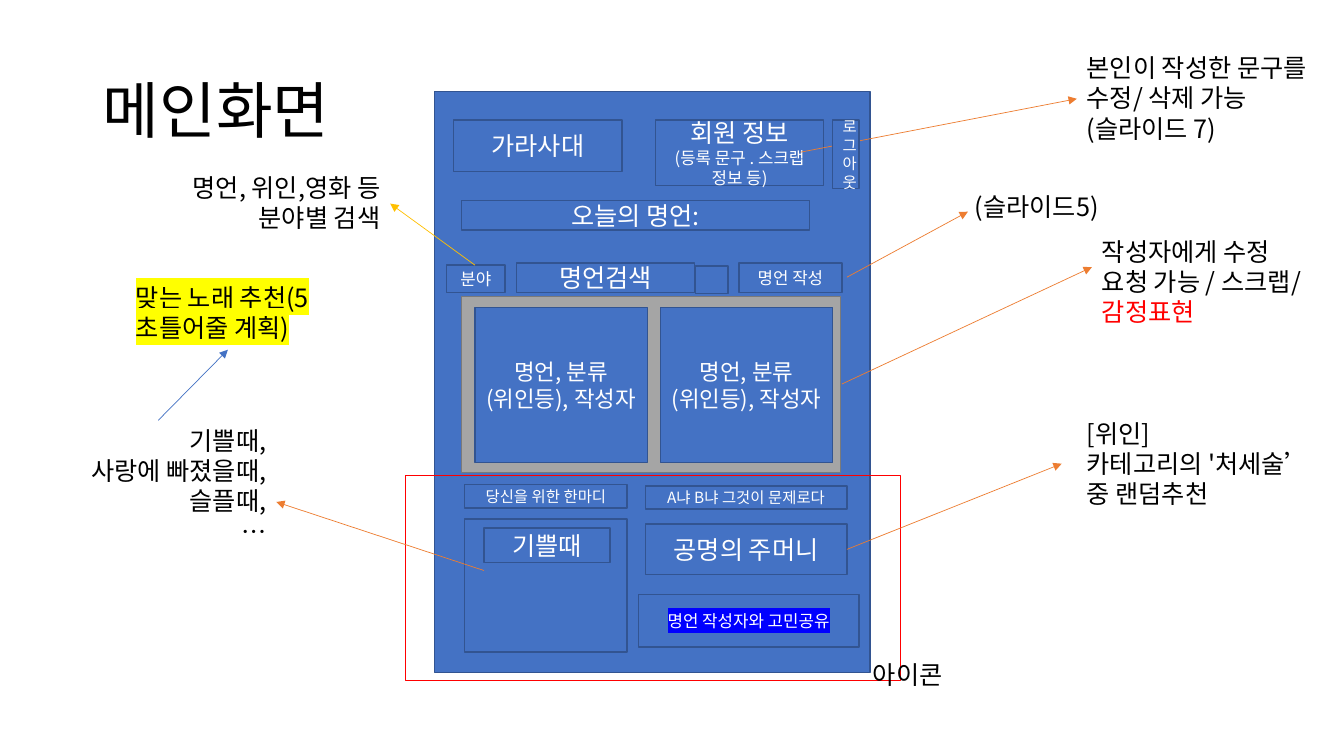
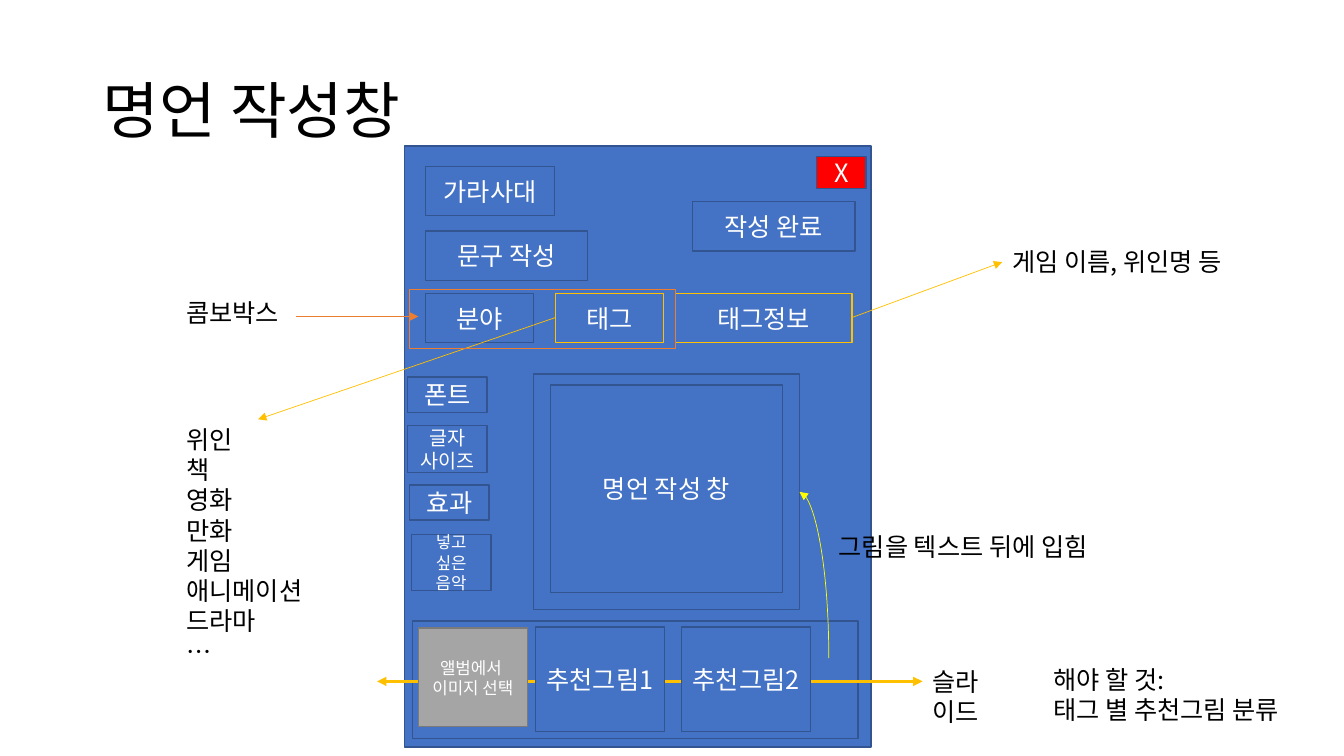
"""Build two annotated wireframe slides of a quotation app."""
import lxml.etree
import pptx
import pptx.dml.color
import pptx.enum.shapes
import pptx.enum.text
import pptx.oxml.ns
import pptx.util

FONT = "Noto Sans CJK KR"
CELL = 0.1
COLORS = {
    "blue": "4472C4", "navy": "325491", "gray": "A5A5A5", "dark_gray": "7A7A7A",
    "orange": "ED7D31", "gold": "FFC000", "yellow": "FFFF00", "red": "FF0000",
    "highlight_blue": "0000FF", "white": "FFFFFF", "black": "000000",
}
ALIGN = pptx.enum.text.PP_ALIGN
ANCHOR = pptx.enum.text.MSO_ANCHOR
CONNECTOR = pptx.enum.shapes.MSO_CONNECTOR


def rgb(name):
    return pptx.dml.color.RGBColor.from_string(COLORS[name])


def grid(*cells):
    return [pptx.util.Inches(cell * CELL) for cell in cells]


def add_xml(parent, tag, **attributes):
    return lxml.etree.SubElement(parent, pptx.oxml.ns.qn(tag), attributes)


class Wireframe:
    """Hold the shared style and the slide being drawn; positions are grid cells."""

    def __init__(self):
        self.presentation = pptx.Presentation()
        self.presentation.slide_width = pptx.util.Inches(13.33)
        self.presentation.slide_height = pptx.util.Inches(7.5)
        self.slide = None

    def start(self, title):
        self.slide = self.presentation.slides.add_slide(self.presentation.slide_layouts[5])
        shape = self.slide.shapes.title
        shape.left, shape.top, shape.width, shape.height = grid(9.2, 4, 115, 14.5)
        self.set_text(shape, title, 44, "black", ALIGN.LEFT)
        shape.text_frame.vertical_anchor = ANCHOR.MIDDLE
        shape.text_frame.paragraphs[0].line_spacing = 0.9

    def set_text(self, shape, text, size, color, align):
        frame = shape.text_frame
        frame.word_wrap = True
        frame.text = text
        for paragraph in frame.paragraphs:
            paragraph.alignment = align
            paragraph.font.size = pptx.util.Pt(size)
            paragraph.font.color.rgb = rgb(color)
            paragraph.font.name = FONT
            for properties in paragraph._p.iter(pptx.oxml.ns.qn("a:defRPr")):
                add_xml(properties, "a:ea", typeface=FONT)

    def box(self, left, top, width, height, text="", size=18, fill="blue", line="navy"):
        shape = self.slide.shapes.add_shape(
            pptx.enum.shapes.MSO_SHAPE.RECTANGLE, *grid(left, top, width, height))
        shape.shadow.inherit = False
        if fill:
            shape.fill.solid()
            shape.fill.fore_color.rgb = rgb(fill)
        else:
            shape.fill.background()
        shape.line.color.rgb = rgb(line)
        shape.line.width = pptx.util.Pt(1)
        if text:
            self.set_text(shape, text, size, "white", ALIGN.CENTER)
            shape.text_frame.vertical_anchor = ANCHOR.MIDDLE
        return shape

    def note(self, left, top, width, height, text, align=ALIGN.LEFT):
        shape = self.slide.shapes.add_textbox(*grid(left, top, width, height))
        self.set_text(shape, text, 18, "black", align)
        shape.text_frame.auto_size = pptx.enum.text.MSO_AUTO_SIZE.SHAPE_TO_FIT_TEXT
        return shape

    def highlight(self, shape, color):
        for paragraph in shape.text_frame.paragraphs:
            for run in paragraph.runs:
                marker = add_xml(run._r.get_or_add_rPr(), "a:highlight")
                add_xml(marker, "a:srgbClr", val=COLORS[color])

    def arrow(self, x1, y1, x2, y2, color="orange", width=0.5, both=False,
              kind=CONNECTOR.STRAIGHT):
        connector = self.slide.shapes.add_connector(kind, *grid(x1, y1, x2, y2))
        connector.line.color.rgb = rgb(color)
        connector.line.width = pptx.util.Pt(width)
        properties = connector.element.spPr
        outline = properties.find(pptx.oxml.ns.qn("a:ln"))
        if both:
            add_xml(outline, "a:headEnd", type="triangle")
        add_xml(outline, "a:tailEnd", type="triangle")
        add_xml(properties, "a:effectLst")
        return connector

    def upward_curve(self, left, bottom, right, top, color):
        connector = self.arrow(left, bottom, right, top, color, kind=CONNECTOR.CURVE)
        properties = connector.element.spPr
        properties.find(pptx.oxml.ns.qn("a:xfrm")).set("rot", "16200000")
        properties.find(pptx.oxml.ns.qn("a:prstGeom")).set("prst", "curvedConnector2")


def draw_main_screen(wireframe):
    box, note, arrow = wireframe.box, wireframe.note, wireframe.arrow
    wireframe.start("메인화면")

    box(43.1, 9.1, 43.2, 57.6)
    box(45, 11.9, 16.7, 5.1, "가라사대")
    member = box(65, 11.9, 16.7, 6.5, "회원 정보\n(등록 문구 . 스크랩 정보 등)")
    member.text_frame.paragraphs[1].font.size = pptx.util.Pt(12)
    box(45.8, 19.9, 34.5, 2.9, "오늘의 명언:")
    box(45.8, 29.4, 37.6, 17.5, fill="gray", line="dark_gray")
    box(51.2, 26.1, 17.7, 2.9, "명언검색")
    for left in (47.1, 65.5):
        box(left, 30.5, 17.1, 15.4, "명언, 분류(위인등), 작성자", 16)
    box(46.1, 51.5, 16.1, 13.2)
    box(46.1, 48.1, 16.1, 2.3, "당신을 위한 한마디", 11)
    box(73.3, 26.1, 10.2, 2.9, "명언 작성", 12)
    box(48, 52.4, 12.5, 3.4, "기쁠때")
    box(64, 52, 20, 5, "공명의 주머니")
    box(64, 48.2, 20, 2.3, "A냐 B냐 그것이 문제로다", 11)
    box(69, 26.4, 3.2, 2.7)
    worry = box(63.3, 59, 21.9, 5.2, "명언 작성자와 고민공유", 12)
    wireframe.highlight(worry, "highlight_blue")
    box(40.2, 47.2, 49.1, 20.3, fill=None, line="red")
    box(44.3, 26.3, 5.8, 2.7, "분야", 12)

    arrow(48, 56.6, 27.4, 49.8)
    arrow(84, 54.5, 105.3, 46)
    arrow(79.4, 15.1, 106.8, 9.8)
    arrow(83.5, 38.1, 108.3, 26.5)
    arrow(84, 27.5, 96, 21)
    arrow(15.7, 41.7, 22.6, 34.7, "blue")
    arrow(47.1, 26.3, 38.7, 20.2, "gold")
    box(82.6, 11.9, 2.6, 6.8, "로그아웃", 11)

    note(4, 41.7, 23.4, 16.2, "기쁠때,\n사랑에 빠졌을때,\n슬플때,\v…", ALIGN.RIGHT)
    note(106.8, 41, 24.8, 7.1, "[위인] 카테고리의 '처세술’ 중 랜덤추천")
    note(106.8, 4.7, 24.8, 10.1, "본인이 작성한 문구를 수정/ 삭제 가능\n(슬라이드 7)")
    request = note(108.3, 22.9, 22.1, 10.1, "작성자에게 수정 요청 가능 / 스크랩/ ")
    emotion = request.text_frame.paragraphs[0].add_run()
    emotion.text = "감정표현"
    emotion.font.color.rgb = rgb("red")
    song = note(12.5, 27.5, 20.6, 7.1, "맞는 노래 추천(5초틀어줄 계획)")
    wireframe.highlight(song, "yellow")
    note(95.7, 18.5, 16.8, 4, "(슬라이드5)")
    note(85.6, 64.9, 13.4, 4, "아이콘")
    note(2.8, 16.6, 35.9, 7.1, "명언, 위인,영화 등\n분야별 검색", ALIGN.RIGHT)


def draw_writing_screen(wireframe):
    box, note, arrow = wireframe.box, wireframe.note, wireframe.arrow
    wireframe.start("명언 작성창")

    box(40.1, 14.5, 46.3, 59.6)
    box(40.9, 61.6, 44.2, 11.7, fill=None)
    arrow(37.4, 67.6, 91.5, 67.6, "gold", 2.25, both=True)
    for left, top, width, text, line in (
            (42.2, 16.5, 12.8, "가라사대", "navy"),
            (42.2, 22.9, 16.1, "문구 작성", "navy"),
            (68.7, 20, 16.1, "작성 완료", "navy"),
            (42.2, 29.1, 10.7, "분야", "navy"),
            (55.1, 29.1, 10.7, "태그", "gold"),
            (67, 29.1, 17.5, "태그정보", "gold")):
        box(left, top, width, 4.9, text, line=line)
    arrow(29.4, 31.4, 41.5, 31.4)
    arrow(55.1, 31.5, 25.6, 41.6, "gold")
    arrow(84.5, 31.5, 99.4, 26, "gold")
    box(40.6, 28.7, 26.4, 5.9, fill=None, line="orange")

    box(52.9, 37.1, 26.4, 23.4)
    box(54.6, 38.2, 23, 20.6, "명언 작성 창")
    for left, top, height, text, size in (
            (40.4, 37.4, 3.5, "폰트", 18),
            (40.4, 42.2, 4.7, "글자 사이즈", 14),
            (40.6, 48.1, 3.5, "효과", 18),
            (40.8, 53, 5.6, "넣고 싶은 음악", 12)):
        box(left, top, 7.9, height, text, size)
    box(41.5, 62.3, 10.8, 9.8, "앨범에서 \v이미지 선택", 12, "gray", "dark_gray")
    for index in range(2):
        box(53.1 + 14.5 * index, 62.2, 12.8, 10.4, f"추천그림{index + 1}")
    wireframe.upward_curve(72.5, 58.5, 89, 55.6, "yellow")
    box(81, 15.5, 4.9, 3.2, "X", fill="red")

    note(17.5, 29, 16.2, 4, "콤보박스")
    note(17.5, 41.6, 16.2, 25.2, "위인\n책\n영화\n만화\n게임\n애니메이션\n드라마\n…")
    note(99.4, 23.9, 27.4, 4, "게임 이름, 위인명 등")
    note(91.5, 65.6, 7.9, 7.1, "슬라이드")
    note(82.2, 52.2, 30.1, 4, "그림을 텍스트 뒤에 입힘")
    note(103.5, 65.4, 27.7, 7.1, "해야 할 것:\n태그 별 추천그림 분류")


wireframe = Wireframe()
draw_main_screen(wireframe)
draw_writing_screen(wireframe)
wireframe.presentation.save("out.pptx")
